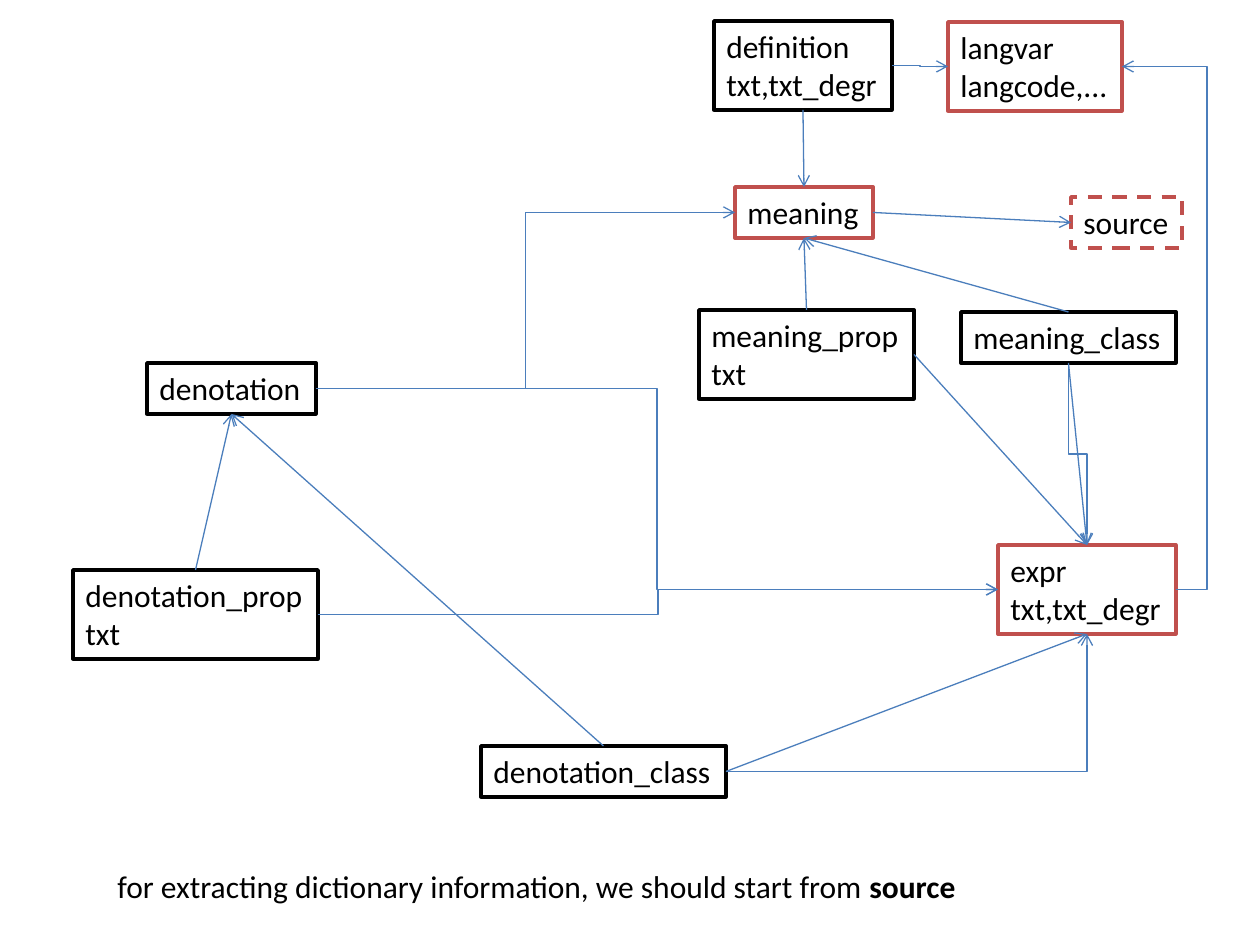
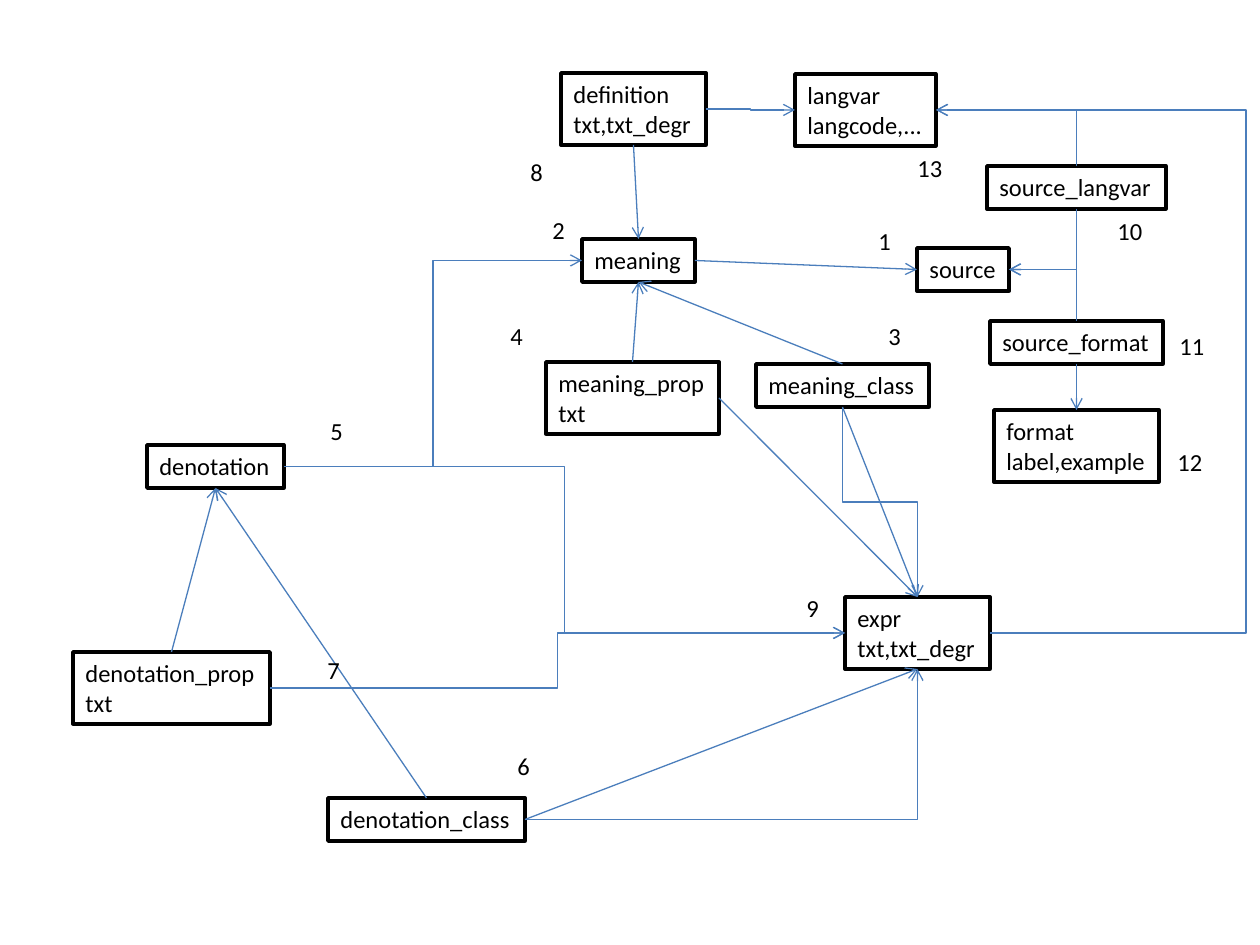
"""Draw two entity diagrams of a dictionary database, the second with numbered steps."""
import lxml.etree
import pptx
import pptx.dml.color
import pptx.enum.dml
import pptx.enum.shapes
import pptx.enum.text
import pptx.oxml.ns
import pptx.util

BLACK = pptx.dml.color.RGBColor(0x00, 0x00, 0x00)
WHITE = pptx.dml.color.RGBColor(0xFF, 0xFF, 0xFF)
RED = pptx.dml.color.RGBColor(0xC0, 0x50, 0x4D)
BLUE = pptx.dml.color.RGBColor(0x4B, 0x7E, 0xBC)
FONT = "Calibri"
SCALE = 914400 / 126
TOP, LEFT, BOTTOM, RIGHT = range(4)
qn = pptx.oxml.ns.qn

FIELDS = {
    "definition": "txt,txt_degr",
    "denotation_prop": "txt",
    "expr": "txt,txt_degr",
    "langvar": "langcode,...",
    "meaning_prop": "txt",
    "format": "label,example",
}
STRAIGHT_LINKS = [
    ("definition", BOTTOM, "meaning", TOP),
    ("meaning", RIGHT, "source", LEFT),
    ("meaning_class", TOP, "meaning", BOTTOM),
    ("meaning_class", BOTTOM, "expr", TOP),
    ("denotation_class", TOP, "denotation", BOTTOM),
    ("denotation_class", RIGHT, "expr", BOTTOM),
    ("denotation_prop", TOP, "denotation", BOTTOM),
    ("meaning_prop", RIGHT, "expr", TOP),
    ("meaning_prop", TOP, "meaning", BOTTOM),
]
BENT_LINKS = [
    ("definition", RIGHT, "langvar", LEFT),
    ("meaning_class", BOTTOM, "expr", TOP),
    ("denotation", RIGHT, "meaning", LEFT),
    ("denotation_class", RIGHT, "expr", BOTTOM),
    ("expr", RIGHT, "langvar", RIGHT),
    ("denotation", RIGHT, "expr", LEFT),
    ("denotation_prop", RIGHT, "expr", LEFT),
]
SOURCE_LINKS = [
    ("source_langvar", TOP, "langvar", RIGHT),
    ("source_langvar", BOTTOM, "source", RIGHT),
    ("source_format", TOP, "source", RIGHT),
    ("source_format", BOTTOM, "format", TOP),
]
DIAGRAMS = [
    {
        "size": 18, "heights": (51, 89), "turn": 1207, "bent": BENT_LINKS,
        "red": ("expr", "langvar", "meaning", "source"), "dashed": ("source",),
        "boxes": {
            "definition": (714, 21, 178),
            "denotation": (147, 363, 169),
            "denotation_class": (481, 746, 245),
            "denotation_prop": (73, 570, 245),
            "expr": (998, 545, 178),
            "langvar": (948, 22, 174),
            "meaning": (735, 187, 138),
            "meaning_class": (961, 312, 215),
            "meaning_prop": (699, 310, 215),
            "source": (1071, 197, 111),
        },
        "notes": [(105, 861, 872, [
            ("for extracting dictionary information, we should start from ", False),
            ("source", True)])],
    },
    {
        "size": 14, "heights": (43, 72), "turn": 1246, "bent": BENT_LINKS + SOURCE_LINKS,
        "red": (), "dashed": (),
        "boxes": {
            "definition": (561, 73, 145),
            "denotation": (147, 445, 137),
            "denotation_class": (328, 798, 197),
            "denotation_prop": (73, 652, 197),
            "expr": (845, 597, 145),
            "langvar": (795, 74, 141),
            "meaning": (582, 239, 113),
            "meaning_class": (756, 364, 173),
            "meaning_prop": (546, 362, 173),
            "source": (917, 248, 92),
            "source_format": (990, 321, 173),
            "source_langvar": (987, 166, 179),
            "format": (994, 410, 165),
        },
        "notes": [
            (left, top, 38 if number < 10 else 50, [(str(number), False)])
            for number, (left, top) in enumerate([
                (866, 220), (540, 209), (876, 315), (498, 315), (318, 410),
                (505, 745), (315, 649), (518, 151), (794, 587), (1105, 210),
                (1167, 325), (1165, 441), (905, 147)], 1)
        ],
    },
]


def px(*lengths):
    return [pptx.util.Emu(round(length * SCALE)) for length in lengths]


def write(shape, lines, size):
    frame = shape.text_frame
    frame.word_wrap = False
    frame.auto_size = pptx.enum.text.MSO_AUTO_SIZE.SHAPE_TO_FIT_TEXT
    frame.vertical_anchor = pptx.enum.text.MSO_ANCHOR.TOP
    for index, line in enumerate(lines):
        para = frame.add_paragraph() if index else frame.paragraphs[0]
        para.alignment = pptx.enum.text.PP_ALIGN.LEFT
        for text, bold in line:
            span = para.add_run()
            span.text = text
            span.font.name = FONT
            span.font.size = pptx.util.Pt(size)
            span.font.bold = bold
            span.font.color.rgb = BLACK


deck = pptx.Presentation()
deck.slide_width, deck.slide_height = px(1260, 945)

for diagram in DIAGRAMS:
    page = deck.slides.add_slide(deck.slide_layouts[6])
    boxes = {}
    for name, (left, top, width) in diagram["boxes"].items():
        lines = [[(name, False)]]
        if name in FIELDS:
            lines.append([(FIELDS[name], False)])
        height = diagram["heights"][len(lines) - 1]
        box = page.shapes.add_shape(
            pptx.enum.shapes.MSO_SHAPE.RECTANGLE, *px(left, top, width, height))
        box.shadow.inherit = False
        box.fill.solid()
        box.fill.fore_color.rgb = WHITE
        box.line.color.rgb = RED if name in diagram["red"] else BLACK
        box.line.width = pptx.util.Pt(2)
        if name in diagram["dashed"]:
            box.line.dash_style = pptx.enum.dml.MSO_LINE.DASH
        write(box, lines, diagram["size"])
        boxes[name] = box

    links = [(False, link) for link in STRAIGHT_LINKS]
    links += [(True, link) for link in diagram["bent"]]
    for bent, (start, start_side, end, end_side) in links:
        kind = pptx.enum.shapes.MSO_CONNECTOR.ELBOW if bent else pptx.enum.shapes.MSO_CONNECTOR.STRAIGHT
        arrow = page.shapes.add_connector(kind, 0, 0, 0, 0)
        arrow.begin_connect(boxes[start], start_side)
        arrow.end_connect(boxes[end], end_side)
        arrow.line.color.rgb = BLUE
        arrow.line.width = pptx.util.Pt(0.75)
        properties = arrow._element.spPr
        lxml.etree.SubElement(properties.find(qn("a:ln")), qn("a:tailEnd"), type="arrow")
        lxml.etree.SubElement(properties, qn("a:effectLst"))
        if not bent:
            continue

        geometry = properties.find(qn("a:prstGeom"))
        if start_side % 2 != end_side % 2:
            geometry.set("prst", "bentConnector2")
        if start_side == end_side:
            across = arrow.end_x - arrow.begin_x
            share = (px(diagram["turn"])[0] - arrow.begin_x) / across
            lxml.etree.SubElement(
                geometry.find(qn("a:avLst")), qn("a:gd"),
                name="adj1", fmla=f"val {round(share * 100000)}")
        if start_side in (TOP, BOTTOM):
            across, down = arrow.end_x - arrow.begin_x, arrow.end_y - arrow.begin_y
            middle_x = (arrow.begin_x + arrow.end_x) // 2
            middle_y = (arrow.begin_y + arrow.end_y) // 2
            arrow.width, arrow.height = abs(down), abs(across)
            arrow.left = middle_x - abs(down) // 2
            arrow.top = middle_y - abs(across) // 2
            frame = properties.xfrm
            frame.rot = 90 if down > 0 and across <= 0 else 270
            frame.flipH = down > 0 and across > 0
            frame.flipV = down < 0 and across < 0

    for left, top, width, line in diagram["notes"]:
        note = page.shapes.add_textbox(*px(left, top, width, diagram["heights"][0]))
        write(note, [line], diagram["size"])

deck.save("out.pptx")
